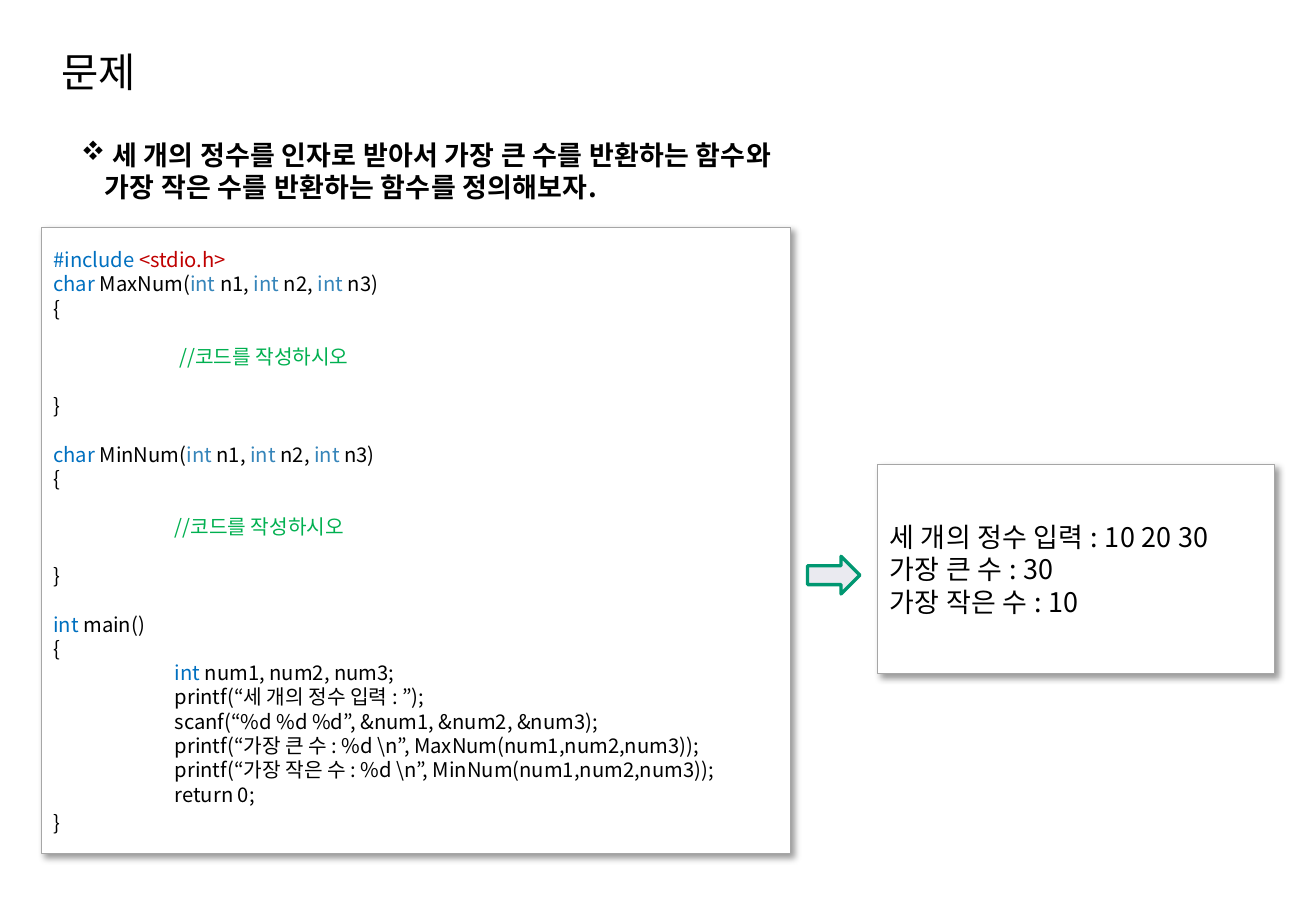
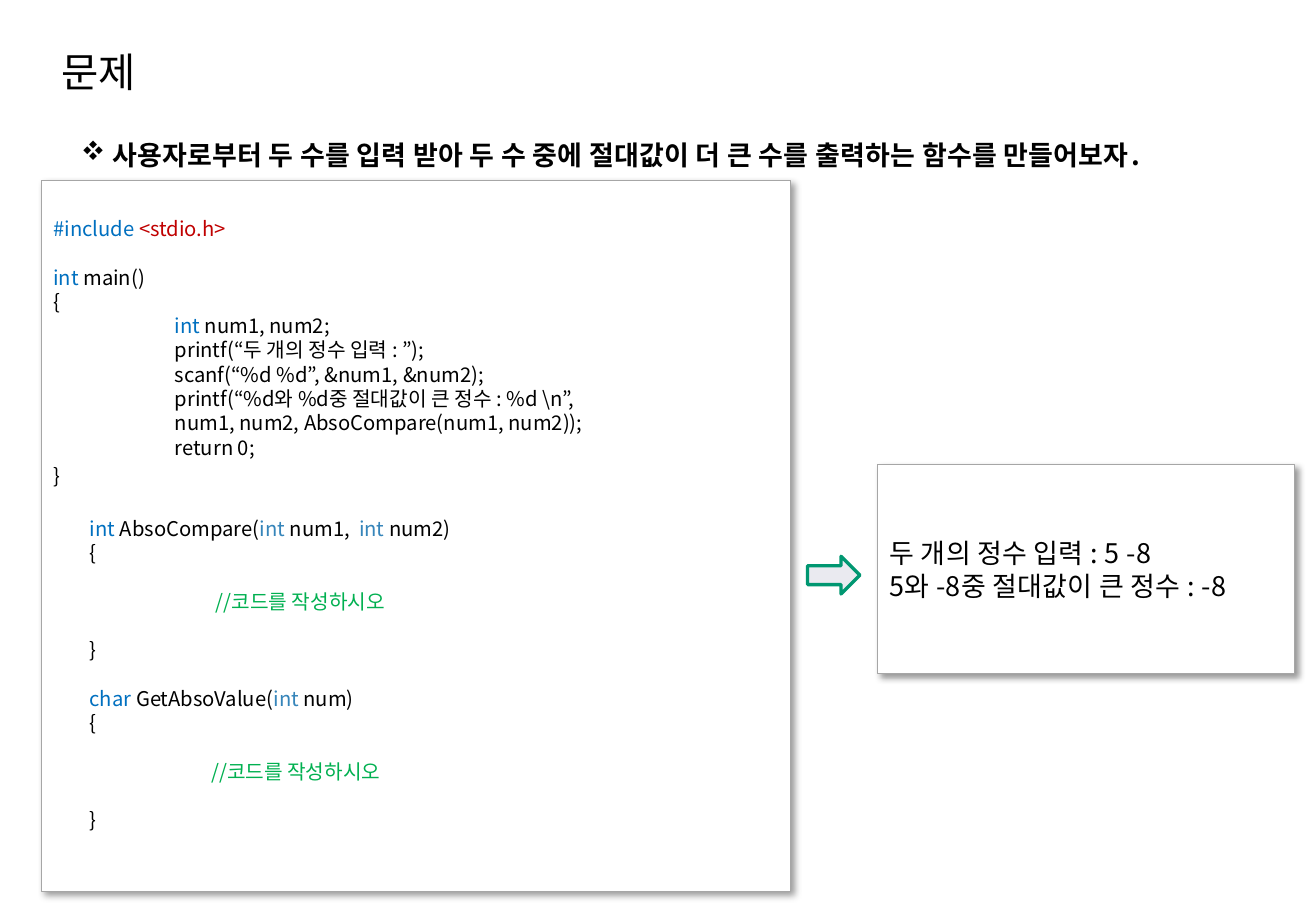
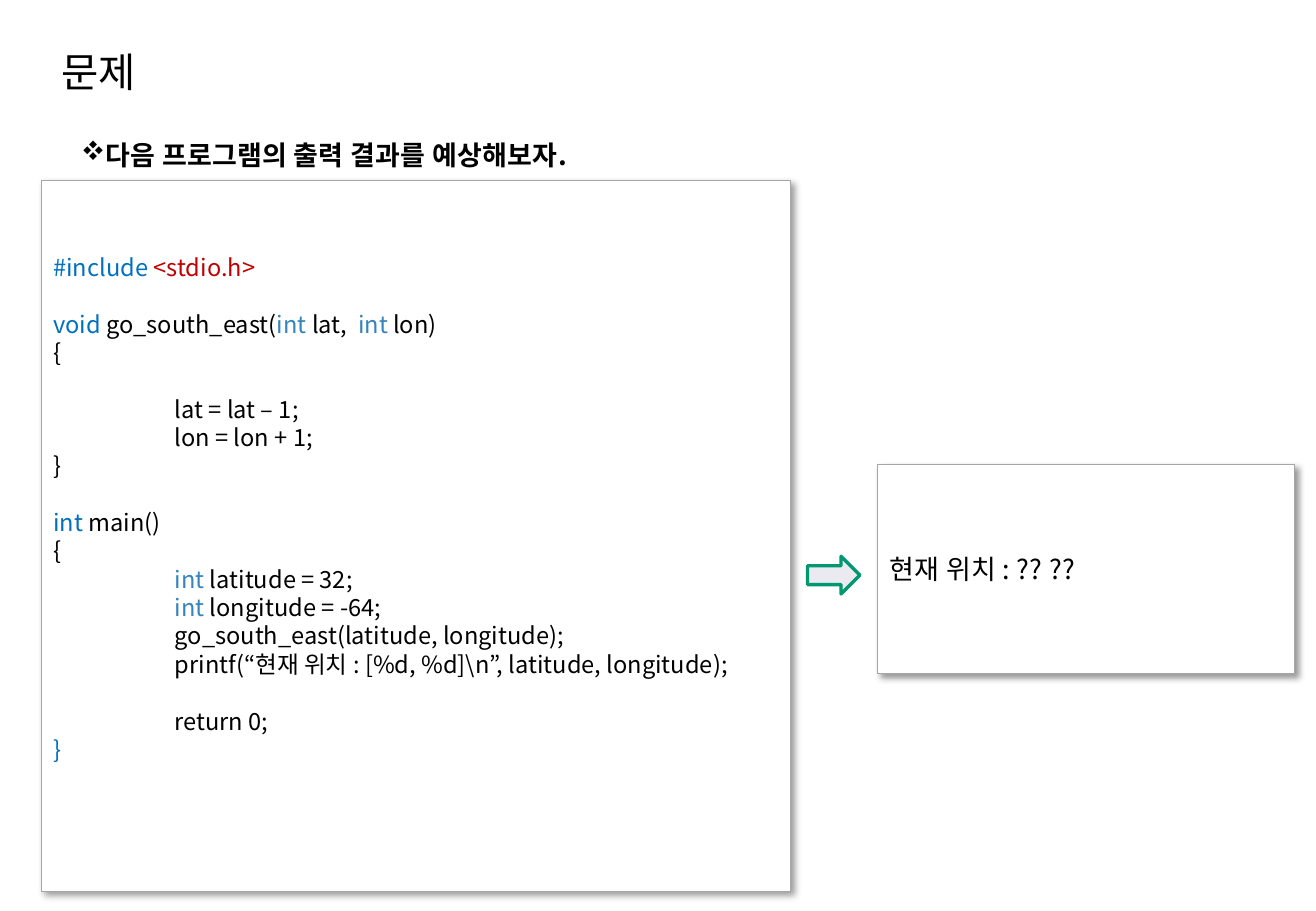
from lxml import etree
from pptx import Presentation
from pptx.dml.color import RGBColor
from pptx.enum.shapes import MSO_SHAPE
from pptx.enum.text import MSO_ANCHOR, PP_ALIGN
from pptx.oxml.ns import qn
from pptx.util import Pt

RECTANGLE = MSO_SHAPE.RECTANGLE
DOWN_ARROW = MSO_SHAPE.DOWN_ARROW
TOP, MIDDLE = MSO_ANCHOR.TOP, MSO_ANCHOR.MIDDLE
LEFT = PP_ALIGN.LEFT

FONT, BULLET_FONT = "Noto Sans CJK KR", "Wingdings"
INK, WHITE, BORDER = "000000", "FFFFFF", "A6A6A6"
KEYWORD, TYPE, HEADER, COMMENT = "0070C0", "3685BA", "C00000", "00B050"
ARROW_FILL, ARROW_LINE = "17175C", "009771"

TITLE_ONLY = 5
LEADING = 1.2
TAB = 72
PROSE_SIZE, PROSE_TRACKING = 16, 0.2
CODE_LEFT, CODE_WIDTH = 24.5, 444
OUTPUT_LEFT, OUTPUT_TOP, OUTPUT_HEIGHT = 520.2, 275.5, 123.8
FUNCTION_INDENT = 21.6
BRACE_GAP = 2.4


def colour(hex_code):
    """Turn a hex string into a colour."""
    return RGBColor.from_string(hex_code)


def line(*runs, left=0, before=0):
    """Describe one line: strings or (text, colour) pairs, indent and space before."""
    pairs = [(run, INK) if isinstance(run, str) else run for run in runs]
    return pairs, left, before


def include_line():
    """Describe the header inclusion that opens every program."""
    return line(("#include ", KEYWORD), ("<stdio.h>", HEADER))


def signature(returns, name, *parameters, left=0):
    """Describe a function header whose parameters are all integers."""
    runs = [(returns + " ", KEYWORD), name + "("]
    for parameter in parameters:
        runs += [("int", TYPE), parameter]
    return line(*runs, left=left)


def exercise(header, comment, left=0):
    """Describe a function whose body the reader has to write."""
    return [header, line("{", left=left), line(),
            line((comment, COMMENT), left=left),
            line(), line("}", left=left)]


def main_opening():
    """Describe the first two lines of the main function."""
    return [line(("int", KEYWORD), " main()"), line("{")]


def statements(*texts):
    """Describe plain statements, one tab in."""
    return [line("\t" + text) for text in texts]


def style_run(run, size, ink=INK, bold=False, tracking=0):
    """Give a run its font, size, colour and letter spacing."""
    run.font.size = Pt(size)
    run.font.bold = bold
    run.font.color.rgb = colour(ink)
    run.font.name = FONT
    properties = run._r.get_or_add_rPr()
    if tracking:
        properties.set("spc", str(round(tracking * 100)))
    etree.SubElement(properties, qn("a:ea")).set("typeface", FONT)


def write_lines(frame, lines, size, bold=False, tracking=0):
    """Fill a text frame with described lines."""
    frame.word_wrap = True
    for number, (runs, left, before) in enumerate(lines):
        paragraph = frame.add_paragraph() if number else frame.paragraphs[0]
        paragraph.alignment = LEFT
        paragraph.line_spacing = Pt(size * LEADING)
        properties = paragraph._p.get_or_add_pPr()
        properties.set("defTabSz", str(Pt(TAB)))
        if before:
            paragraph.space_before = Pt(before)
        if left:
            properties.set("marL", str(Pt(left)))
        for text, ink in runs:
            run = paragraph.add_run()
            run.text = text
            style_run(run, size, ink, bold, tracking)


def add_title(slide):
    """Place and format the title shared by all slides."""
    title = slide.shapes.title
    title.left, title.top, title.width, title.height = (
        Pt(29.3), Pt(23), Pt(450.7), Pt(38.9))
    title.text_frame.text = "문제"
    title.text_frame.vertical_anchor = MIDDLE
    heading = title.text_frame.paragraphs[0]
    heading.alignment = LEFT
    style_run(heading.runs[0], 24)


def add_task(slide, width, height, lines):
    """Add the bulleted task above the code."""
    task = slide.shapes.add_textbox(Pt(41), Pt(78.5), Pt(width), Pt(height))
    write_lines(task.text_frame, lines, PROSE_SIZE, True, PROSE_TRACKING)
    properties = task.text_frame.paragraphs[0]._p.get_or_add_pPr()
    etree.SubElement(properties, qn("a:buFont")).set("typeface", BULLET_FONT)
    etree.SubElement(properties, qn("a:buChar")).set("char", "v")


def add_panel(slide, left, top, width, height):
    """Add a white bordered panel with a soft shadow."""
    panel = slide.shapes.add_shape(RECTANGLE, Pt(left), Pt(top), Pt(width), Pt(height))
    panel.fill.solid()
    panel.fill.fore_color.rgb = colour(WHITE)
    panel.line.color.rgb = colour(BORDER)
    panel.line.width = Pt(0.75)
    panel.shadow.inherit = False
    effects = panel._element.spPr.find(qn("a:effectLst"))
    shadow = etree.SubElement(effects, qn("a:outerShdw"), blurRad=str(Pt(4)),
                              dist=str(Pt(3)), dir=str(45 * 60000),
                              algn="tl", rotWithShape="0")
    tint = etree.SubElement(shadow, qn("a:srgbClr"), val=INK)
    etree.SubElement(tint, qn("a:alpha"), val="40000")
    return panel


def add_code(slide, top, height, inset, size, lines):
    """Add the program listing, starting an inset below the panel's top."""
    panel = add_panel(slide, CODE_LEFT, top, CODE_WIDTH, height)
    panel.text_frame.vertical_anchor = TOP
    panel.text_frame.margin_top = Pt(inset)
    write_lines(panel.text_frame, lines, size)


def add_output(slide, width, *texts):
    """Add the panel with the program's output."""
    panel = add_panel(slide, OUTPUT_LEFT, OUTPUT_TOP, width, OUTPUT_HEIGHT)
    panel.text_frame.vertical_anchor = MIDDLE
    write_lines(panel.text_frame, [line(text) for text in texts],
                PROSE_SIZE, tracking=PROSE_TRACKING)


def add_arrow(slide):
    """Add the arrow that leads from code to output."""
    arrow = slide.shapes.add_shape(DOWN_ARROW, Pt(483), Pt(325.4), Pt(22.3), Pt(31))
    arrow.rotation = 270
    arrow.fill.solid()
    arrow.fill.fore_color.rgb = colour(ARROW_FILL)
    tint = arrow._element.spPr.find(qn("a:solidFill")).find(qn("a:srgbClr"))
    etree.SubElement(tint, qn("a:alpha"), val="9000")
    arrow.line.color.rgb = colour(ARROW_LINE)
    arrow.line.width = Pt(2)
    arrow.shadow.inherit = False


def start_slide(deck):
    """Add a slide with the shared title and arrow."""
    slide = deck.slides.add_slide(deck.slide_layouts[TITLE_ONLY])
    add_title(slide)
    add_arrow(slide)
    return slide


def build_max_min(deck):
    """Build the task on the largest and smallest number."""
    slide = start_slide(deck)
    numbers = (" n1, ", " n2, ", " n3)")
    code = [
        include_line(),
        *exercise(signature("char", "MaxNum", *numbers), "\t //코드를 작성하시오"),
        line(),
        *exercise(signature("char", "MinNum", *numbers), "\t//코드를 작성하시오"),
        line(),
        *main_opening(),
        line(("\tint ", KEYWORD), "num1, num2, num3;"),
        *statements("printf(“세 개의 정수 입력 : ”);",
                    "scanf(“%d %d %d”, &num1, &num2, &num3);",
                    "printf(“가장 큰 수 : %d \\n”, MaxNum(num1,num2,num3));",
                    "printf(“가장 작은 수 : %d \\n”, MinNum(num1,num2,num3));",
                    "return 0;"),
        line("}", before=BRACE_GAP),
    ]
    add_code(slide, 134.9, 371.2, 11.8, 12, code)
    add_output(slide, 235.4, "세 개의 정수 입력 : 10 20 30", "가장 큰 수 : 30", "가장 작은 수 : 10")
    add_task(slide, 468.7, 46, [
        line(" 세 개의 정수를 인자로 받아서 가장 큰 수를 반환하는 함수와"),
        line("가장 작은 수를 반환하는 함수를 정의해보자.", left=14)])


def build_absolute(deck):
    """Build the task on comparing absolute values."""
    slide = start_slide(deck)
    indent = FUNCTION_INDENT
    code = [
        include_line(),
        line(),
        *main_opening(),
        line(("\tint ", KEYWORD), "num1, num2;"),
        *statements("printf(“두 개의 정수 입력 : ”);",
                    "scanf(“%d %d”, &num1, &num2);",
                    "printf(“%d와 %d중 절대값이 큰 정수 : %d \\n”,",
                    "num1, num2, AbsoCompare(num1, num2));",
                    "return 0;"),
        line("}", before=BRACE_GAP),
        line(before=BRACE_GAP),
        *exercise(signature("int", "AbsoCompare", " num1,  ", " num2)", left=indent),
                  "\t //코드를 작성하시오", indent),
        line(),
        *exercise(signature("char", "GetAbsoValue", " num)", left=indent),
                  "\t//코드를 작성하시오", indent),
    ]
    add_code(slide, 106.9, 421.7, 21.3, 12, code)
    add_output(slide, 247, "두 개의 정수 입력 : 5 -8", "5와 -8중 절대값이 큰 정수 : -8")
    add_task(slide, 713, 26.6, [
        line(" 사용자로부터 두 수를 입력 받아 두 수 중에 절대값이 더 큰 수를 출력하는 함수를 만들어보자.")])


def build_position(deck):
    """Build the task on predicting a program's output."""
    slide = start_slide(deck)
    code = [
        include_line(),
        line(),
        signature("void", "go_south_east", " lat,  ", " lon)"),
        line("{"),
        line(),
        *statements("lat = lat – 1;", "lon = lon + 1;"),
        line("}"),
        line(),
        *main_opening(),
        line(("\tint ", TYPE), "latitude = 32;"),
        line(("\tint ", TYPE), "longitude = -64;"),
        *statements("go_south_east(latitude, longitude);",
                    "printf(“현재 위치 : [%d, %d]\\n”, latitude, longitude);"),
        line(),
        *statements("return 0;"),
        line(("}", KEYWORD)),
    ]
    add_code(slide, 106.9, 421.7, 42.9, 14, code)
    add_output(slide, 247, "현재 위치 : ?? ??")
    add_task(slide, 326, 26.6, [line("다음 프로그램의 출력 결과를 예상해보자.")])


def main():
    """Build and save the three exercise slides."""
    deck = Presentation()
    deck.slide_width, deck.slide_height = Pt(780), Pt(540)
    build_max_min(deck)
    build_absolute(deck)
    build_position(deck)
    deck.save("out.pptx")


if __name__ == "__main__":
    main()
